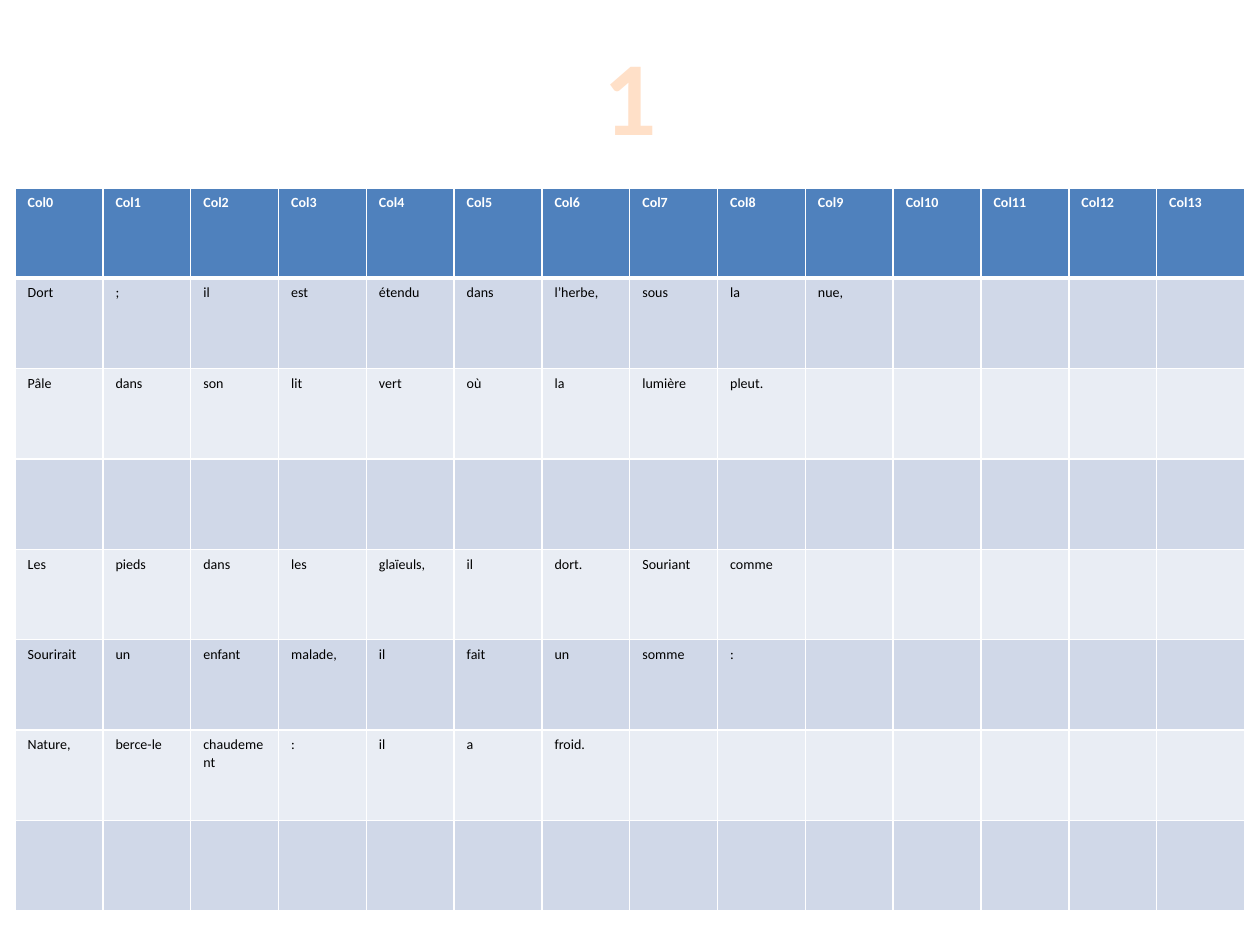
from lxml import etree
from pptx import Presentation
from pptx.dml.color import RGBColor
from pptx.enum.text import MSO_ANCHOR, PP_ALIGN
from pptx.oxml.ns import qn
from pptx.util import Inches, Pt

CENTER, LEFT = PP_ALIGN.CENTER, PP_ALIGN.LEFT
MIDDLE = MSO_ANCHOR.MIDDLE

WHITE = RGBColor(0xFF, 0xFF, 0xFF)
BLACK = RGBColor(0x00, 0x00, 0x00)
PEACH = RGBColor(0xFF, 0xE0, 0xC8)
HEADER_BLUE = RGBColor(0x4F, 0x81, 0xBD)
BANDS = (RGBColor(0xD0, 0xD8, 0xE8), RGBColor(0xE9, 0xED, 0xF4))

COLUMN_COUNT = 14
POEM_LINES = (
    "Dort ; il est étendu dans l’herbe, sous la nue,",
    "Pâle dans son lit vert où la lumière pleut.",
    "",
    "Les pieds dans les glaïeuls, il dort. Souriant comme",
    "Sourirait un enfant malade, il fait un somme :",
    "Nature, berce-le chaudement : il a froid.",
    "",
)


def write_text(frame, text, size=8, color=BLACK, bold=False, align=LEFT):
    """Write one formatted run and return it."""
    paragraph = frame.paragraphs[0]
    paragraph.alignment = align
    run = paragraph.add_run()
    run.text = text
    run.font.name = "Calibri"
    run.font.size = Pt(size)
    run.font.bold = bold
    run.font.color.rgb = color
    return run


def add_line(parent, tag, color, width):
    """Add a solid line element to cell or run properties."""
    line = etree.SubElement(parent, qn(tag), w=str(Pt(width)))
    fill = etree.SubElement(line, qn("a:solidFill"))
    etree.SubElement(fill, qn("a:srgbClr"), val=str(color))
    return line


class SlideBuilder:
    """Places elements by shares of the slide's size."""

    def __init__(self, presentation):
        self.width = presentation.slide_width
        self.height = presentation.slide_height
        self.slide = presentation.slides.add_slide(presentation.slide_layouts[6])

    def box(self, left, top, width, height):
        return (int(left * self.width), int(top * self.height),
                int(width * self.width), int(height * self.height))

    def outlined_title(self, text, *area):
        frame = self.slide.shapes.add_textbox(*self.box(*area)).text_frame
        frame.word_wrap = True
        frame.vertical_anchor = MIDDLE
        run = write_text(frame, text, size=60, color=PEACH, bold=True, align=CENTER)
        properties = run.font._element
        properties.insert(0, add_line(properties, "a:ln", PEACH, 1.4))

    def cell(self, cell, text, fill, header):
        properties = cell._tc.get_or_add_tcPr()
        for side in "LRTB":
            width = 3 if header and side == "B" else 1
            add_line(properties, f"a:ln{side}", WHITE, width)
        cell.fill.solid()
        cell.fill.fore_color.rgb = fill
        if text:
            write_text(cell.text_frame, text, bold=header,
                       color=WHITE if header else BLACK)

    def table(self, rows, *area):
        left, top, width, height = self.box(*area)
        table = self.slide.shapes.add_table(
            len(rows), COLUMN_COUNT, left, top, width, height).table
        for column in table.columns:
            column.width = width // COLUMN_COUNT
        for index, words in enumerate(rows):
            table.rows[index].height = height // len(rows)
            header = index == 0
            fill = HEADER_BLUE if header else BANDS[(index - 1) % 2]
            padded = words + [""] * (COLUMN_COUNT - len(words))
            for column, word in enumerate(padded):
                self.cell(table.cell(index, column), word, fill, header)


def main():
    presentation = Presentation()
    presentation.slide_width = Inches(10)
    presentation.slide_height = Inches(7.5)
    builder = SlideBuilder(presentation)

    # Poem, one word per cell
    header = [f"Col{number}" for number in range(COLUMN_COUNT)]
    rows = [header] + [line.split() for line in POEM_LINES]
    builder.table(rows, 0.012, 1.49 / 7.5, 0.976, 5.74 / 7.5)

    # Stanza number
    builder.outlined_title("1", 0.05, 0.12 / 7.5, 0.9, 1.25 / 7.5)

    presentation.save("out.pptx")


if __name__ == "__main__":
    main()
